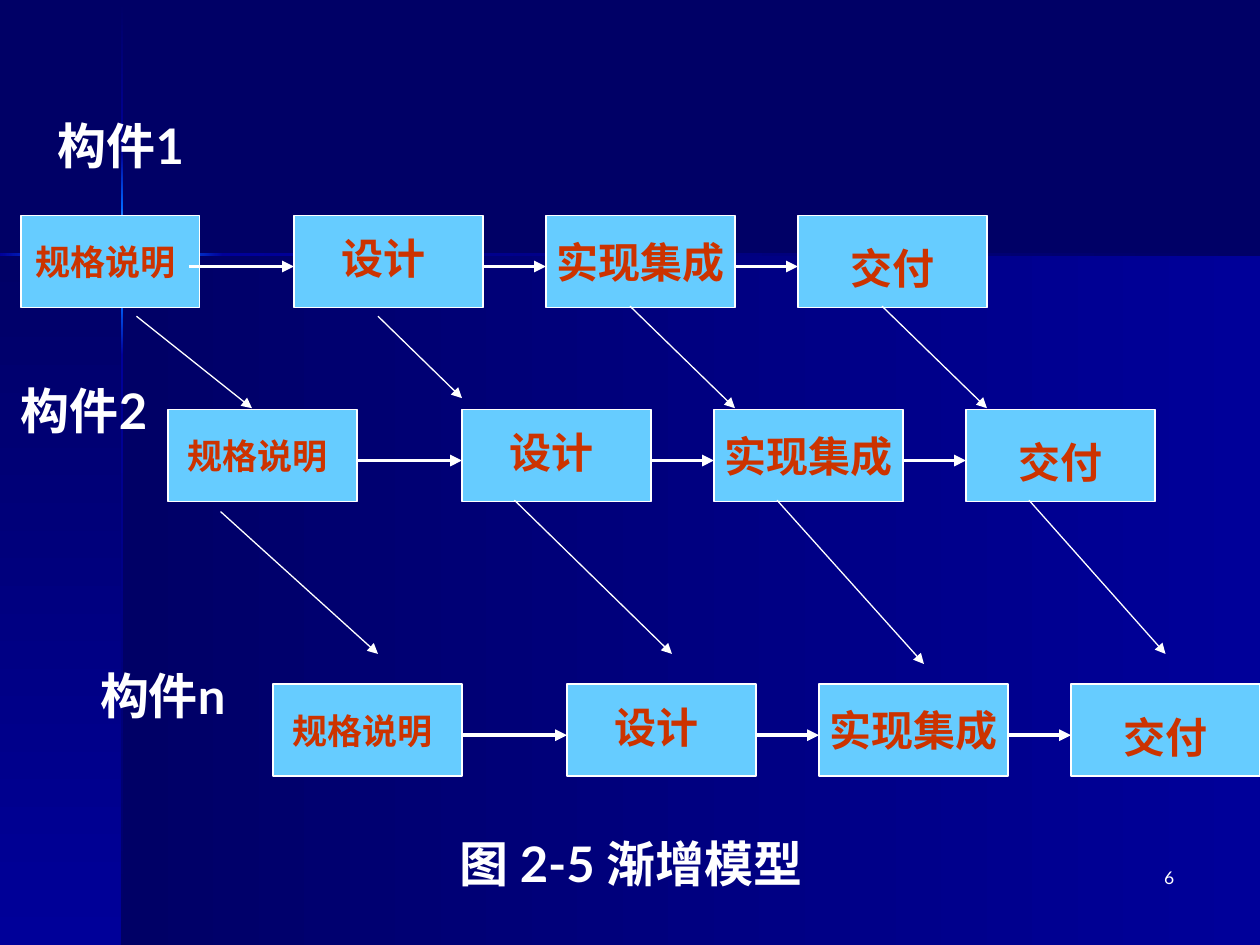
from itertools import pairwise

from lxml import etree
from pptx import Presentation
from pptx import util as u
from pptx.dml.color import RGBColor
from pptx.enum import shapes, text
from pptx.oxml.ns import qn

COLORS = {
    "night": "000066", "navy": "000099", "bright": "0066FF", "cream": "FFFFCC",
    "box": "66CCFF", "rust": "CC3300", "white": "FFFFFF",
}
FONT = "Lato"
COLUMNS, ROWS = 120, 75
BOX_WIDTH, BOX_HEIGHT = 18, 7.3


def color(name):
    return RGBColor.from_string(COLORS[name])


def write(shape, words, size=24, ink="white", bold=True, align="CENTER",
          anchor="TOP", wrap=True, top=0.05, right=0.1):
    frame = shape.text_frame
    frame.word_wrap = wrap
    frame.vertical_anchor = getattr(text.MSO_ANCHOR, anchor)
    frame.margin_left, frame.margin_right = u.Inches(0.1), u.Inches(right)
    frame.margin_top, frame.margin_bottom = u.Inches(top), u.Inches(0.05)
    paragraph = frame.paragraphs[0]
    paragraph.alignment = getattr(text.PP_ALIGN, align)
    run = paragraph.add_run()
    run.text = words
    run.font.name, run.font.size, run.font.bold = FONT, u.Pt(size), bold
    run.font.color.rgb = color(ink)


class Board:
    """Places elements on a grid of 120 columns and 75 rows."""

    def __init__(self, presentation):
        self.slide = presentation.slides.add_slide(presentation.slide_layouts[6])
        self.column = presentation.slide_width / COLUMNS
        self.row = presentation.slide_height / ROWS
        fill = self.slide.background.fill
        fill.solid()
        fill.fore_color.rgb = color("night")

    def place(self, x, y, width, height):
        return (round(x * self.column), round(y * self.row),
                round(width * self.column), round(height * self.row))

    def rectangle(self, *area):
        shape = self.slide.shapes.add_shape(
            shapes.MSO_SHAPE.RECTANGLE, *self.place(*area))
        shape.shadow.inherit = False
        return shape

    def gradient(self, *area, start, end, vertical=False):
        shape = self.rectangle(*area)
        shape.line.fill.background()
        shape.fill.gradient()
        shape.fill.gradient_angle = 270 if vertical else 0
        for stop, name in zip(shape.fill.gradient_stops, (start, end)):
            stop.color.rgb = color(name)

    def box(self, *area):
        shape = self.rectangle(*area)
        shape.fill.solid()
        shape.fill.fore_color.rgb = color("box")
        shape.line.color.rgb = color("white")
        shape.line.width = u.Pt(0.75)
        return shape

    def label(self, words, *area, **style):
        write(self.slide.shapes.add_textbox(*self.place(*area)), words, **style)

    def arrow(self, x1, y1, x2, y2, weight=0.75):
        line = self.slide.shapes.add_connector(
            shapes.MSO_CONNECTOR.STRAIGHT,
            *self.place(x1, y1, x2, y2))
        line.line.color.rgb = color("white")
        line.line.width = u.Pt(weight)
        etree.SubElement(line.line._get_or_add_ln(), qn("a:tailEnd"), type="triangle")
        etree.SubElement(line._element.spPr, qn("a:effectLst"))


def draw_background(board):
    # Two panels below the crossing lines
    board.gradient(11.64, 20.2, 108.36, 54.8, start="night", end="navy")
    board.gradient(0, 20.2, 11.64, 54.8, start="night", end="navy", vertical=True)
    # Glowing vertical line
    glow = [(0.1, "night"), (12.1, "navy"), (16.5, "bright"), (20.15, "cream"),
            (23.8, "bright"), (28.2, "navy"), (75, "night")]
    for (top, start), (bottom, end) in pairwise(glow):
        board.gradient(11.52, top, 0.24, bottom - top,
                       start=start, end=end, vertical=True)
    # Glowing horizontal line, open around the crossing
    for side in ([(0, "navy"), (7.3, "bright")],
                 [(16, "bright"), (21.24, "navy"), (120, "night")]):
        for (left, start), (right, end) in pairwise(side):
            board.gradient(left, 20.1, right - left, 0.2, start=start, end=end)


def draw_increment(board, top, lefts, first_width=BOX_WIDTH, first_exit=None):
    stage_style = dict(ink="rust", anchor="MIDDLE", wrap=False)
    specify = board.box(lefts[0], top, first_width, BOX_HEIGHT)
    write(specify, "规格说明", size=20, right=0.17, **stage_style)
    _, build, deliver = [board.box(left, top, BOX_WIDTH, BOX_HEIGHT)
                         for left in lefts[1:]]
    write(build, "实现集成", **stage_style)
    write(deliver, "交付", top=0.15, **stage_style)
    board.label("设计", lefts[1] + 2, top + 0.85, 13, 5, ink="rust")
    # Flow from stage to stage
    exits = [first_exit or lefts[0] + first_width]
    exits += [left + BOX_WIDTH for left in lefts[1:-1]]
    for start, end in zip(exits, lefts[1:]):
        board.arrow(start, top + 4.05, end, top + 4.05, weight=2.25)


def main():
    presentation = Presentation()
    presentation.slide_width, presentation.slide_height = u.Inches(10), u.Inches(7.5)
    board = Board(presentation)
    draw_background(board)

    # Rows of stages, one per component
    draw_increment(board, 17.1, (2, 28, 52, 76), first_width=17, first_exit=18)
    draw_increment(board, 32.5, (16, 44, 68, 92))
    draw_increment(board, 54.3, (26, 54, 78, 102))

    # Diagonal arrows to the next component
    for ends in ((13, 25.1, 24, 32.4), (36, 25.1, 44, 31.6),
                 (60, 24.3, 70, 32.4), (84, 24.3, 94, 32.4),
                 (21, 40.6, 36, 51.9), (49, 39.7, 64, 51.9),
                 (74, 39.7, 88, 52.7), (98, 39.7, 111, 51.9)):
        board.arrow(*ends)

    # Component labels, caption and slide number
    board.label("构件1", -0.8, 8.7, 24.6, 5.7, size=28, wrap=False)
    board.label("构件2", 0, 29.7, 16, 5.7, size=28)
    board.label("构件n", 7, 52.3, 17, 5.7, size=28)
    board.label("图 2-5 渐增模型", 30.5, 65.7, 59.2, 5.7, size=28)
    board.label("6", 88, 68.3, 25, 5, size=10, bold=False, align="RIGHT")

    presentation.save("out.pptx")


if __name__ == "__main__":
    main()
